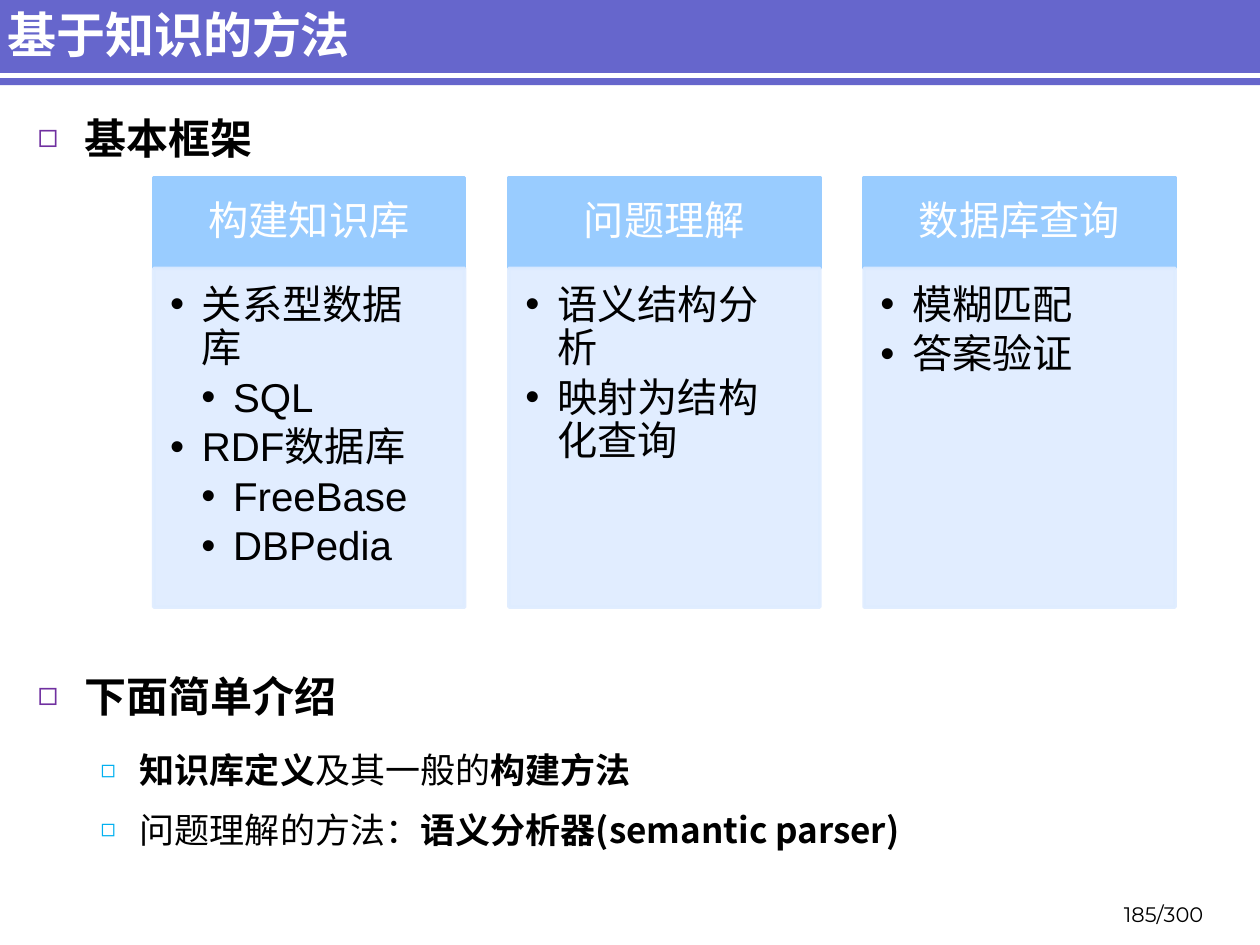
"""Build the slide on knowledge-based question answering."""
from dataclasses import dataclass

from lxml import etree
from pptx import Presentation, util as u
from pptx.dml.color import RGBColor
from pptx.enum import shapes, text
from pptx.oxml.ns import qn

INDIGO = RGBColor(0x66, 0x66, 0xCC)
SKY = RGBColor(0x99, 0xCC, 0xFF)
PALE = RGBColor(0xDE, 0xEC, 0xFF)
PURPLE = RGBColor(0x70, 0x30, 0xA0)
CYAN = RGBColor(0x00, 0xB0, 0xF0)
WHITE = RGBColor(0xFF, 0xFF, 0xFF)
BLACK = RGBColor(0, 0, 0)
CJK, LATIN, NUMERALS = "Noto Sans CJK SC", "Arial", "Montserrat"


@dataclass(frozen=True)
class Bullet:
    char: str
    margin: float
    hanging: float
    color: RGBColor = BLACK
    percent: int = 100


@dataclass(frozen=True)
class Style:
    size: float
    font: str = LATIN
    color: RGBColor = BLACK
    bold: bool = False
    align: text.PP_ALIGN = text.PP_ALIGN.LEFT
    spacing: float = 1.0
    before: float = 0
    after: float = 0
    bullet: Bullet | None = None


@dataclass(frozen=True)
class Line:
    style: Style
    words: str
    strong: tuple[str, ...] = ()


@dataclass(frozen=True)
class Card:
    heading: str
    points: tuple[Line, ...]


TITLE = Style(28, CJK, WHITE, bold=True)
TOPIC = Style(24, CJK, bold=True, before=4.8, after=12,
              bullet=Bullet("◻", 0.95, 0.95, PURPLE, 80))
DETAIL = Style(20, CJK, before=4, after=6,
               bullet=Bullet("◻", 2.06, 0.79, CYAN, 70))
HEADING = Style(23, color=WHITE, align=text.PP_ALIGN.CENTER, spacing=0.9)
POINT = Style(23, spacing=0.9, after=3.45, bullet=Bullet("•", 0.64, 0.64))
SUBPOINT = Style(23, spacing=0.9, after=3.45, bullet=Bullet("•", 1.27, 0.64))
PAGE = Style(12, NUMERALS, align=text.PP_ALIGN.RIGHT)

CARDS = (
    Card("构建知识库", (Line(POINT, "关系型数据库"), Line(SUBPOINT, "SQL"),
                   Line(POINT, "RDF数据库"), Line(SUBPOINT, "FreeBase"),
                   Line(SUBPOINT, "DBPedia"))),
    Card("问题理解", (Line(POINT, "语义结构分析"), Line(POINT, "映射为结构化查询"))),
    Card("数据库查询", (Line(POINT, "模糊匹配"), Line(POINT, "答案验证"))),
)
OUTLOOK = (
    Line(TOPIC, "下面简单介绍"),
    Line(DETAIL, "知识库定义|及其一般的|构建方法", ("知识库定义", "构建方法")),
    Line(DETAIL, "问题理解的方法：|语义分析器(semantic parser)",
         ("语义分析器(semantic parser)",)),
)
CARD_LEFT, CARD_TOP, CARD_WIDTH, CARD_PITCH = 3.1, 3.58, 6.27, 7.16
HEADING_HEIGHT, POINTS_HEIGHT = 1.83, 6.83


def add_bullet(paragraph, bullet: Bullet) -> None:
    props = paragraph._p.get_or_add_pPr()
    props.set("marL", str(u.Cm(bullet.margin)))
    props.set("indent", str(-u.Cm(bullet.hanging)))
    tint = etree.SubElement(props, qn("a:buClr"))
    etree.SubElement(tint, qn("a:srgbClr"), val=str(bullet.color))
    etree.SubElement(props, qn("a:buSzPct"), val=str(bullet.percent * 1000))
    etree.SubElement(props, qn("a:buFont"), typeface=LATIN)
    etree.SubElement(props, qn("a:buChar"), char=bullet.char)


def write(frame, lines: tuple[Line, ...], anchor=text.MSO_ANCHOR.TOP,
          insets: tuple[float, ...] = (0.25, 0.13, 0.25, 0.13)) -> None:
    frame.word_wrap = True
    frame.vertical_anchor = anchor
    (frame.margin_left, frame.margin_top,
     frame.margin_right, frame.margin_bottom) = map(u.Cm, insets)
    for index, line in enumerate(lines):
        style = line.style
        paragraph = frame.add_paragraph() if index else frame.paragraphs[0]
        paragraph.alignment = style.align
        paragraph.line_spacing = style.spacing
        paragraph.space_before = u.Pt(style.before if index else 0)
        paragraph.space_after = u.Pt(style.after)
        if style.bullet:
            add_bullet(paragraph, style.bullet)
        font = paragraph.font
        font.size, font.name, font.bold = u.Pt(style.size), style.font, style.bold
        font.color.rgb = style.color
        if style.font == CJK:
            defaults = paragraph._p.pPr.find(qn("a:defRPr"))
            etree.SubElement(defaults, qn("a:ea"), typeface=CJK)
        for part in line.words.split("|"):
            run = paragraph.add_run()
            run.text = part
            if part in line.strong:
                run.font.bold = True


def add_text(slide, left: float, top: float, width: float, height: float,
             lines: tuple[Line, ...], anchor=text.MSO_ANCHOR.TOP) -> None:
    box = slide.shapes.add_textbox(*map(u.Cm, (left, top, width, height)))
    write(box.text_frame, lines, anchor)


def add_panel(slide, left: float, top: float, width: float, height: float,
              color: RGBColor, outlined: bool = True, opacity: int = 100):
    panel = slide.shapes.add_shape(shapes.MSO_SHAPE.RECTANGLE,
                                   *map(u.Cm, (left, top, width, height)))
    panel.shadow.inherit = False
    panel.fill.solid()
    panel.fill.fore_color.rgb = color
    if outlined:
        panel.line.color.rgb = color
        panel.line.width = u.Pt(2)
    else:
        panel.line.fill.background()
    if opacity < 100:
        for tint in panel._element.spPr.iter(qn("a:srgbClr")):
            etree.SubElement(tint, qn("a:alpha"), val=str(opacity * 1000))
    return panel


def add_card(slide, left: float, card: Card) -> None:
    heading = add_panel(slide, left, CARD_TOP, CARD_WIDTH, HEADING_HEIGHT, SKY)
    write(heading.text_frame, (Line(HEADING, card.heading),),
          text.MSO_ANCHOR.MIDDLE, (0.46, 0.25, 0.46, 0.25))
    points = add_panel(slide, left, CARD_TOP + HEADING_HEIGHT, CARD_WIDTH,
                       POINTS_HEIGHT, PALE, opacity=90)
    write(points.text_frame, card.points, insets=(0.33, 0.33, 0.46, 0.51))


def add_title_band(slide) -> None:
    add_panel(slide, -0.1, -0.08, 25.5, 1.8, INDIGO, outlined=False)
    rule = slide.shapes.add_connector(shapes.MSO_CONNECTOR.STRAIGHT,
                                      *map(u.Cm, (-0.1, 1.52, 25.4, 1.52)))
    rule.line.color.rgb = WHITE
    rule.line.width = u.Pt(3)
    etree.SubElement(rule._element.spPr, qn("a:effectLst"))
    add_text(slide, -0.1, 0.13, 22.28, 1.09, (Line(TITLE, "基于知识的方法"),),
             text.MSO_ANCHOR.MIDDLE)


def main() -> None:
    deck = Presentation()
    deck.slide_width, deck.slide_height = u.Cm(25.4), u.Cm(19.05)
    slide = deck.slides.add_slide(deck.slide_layouts[6])
    add_title_band(slide)
    add_text(slide, 0.51, 2.13, 24, 1.3, (Line(TOPIC, "基本框架"),))
    for column, card in enumerate(CARDS):
        add_card(slide, CARD_LEFT + column * CARD_PITCH, card)
    add_text(slide, 0.51, 13.38, 24, 4.35, OUTLOOK)
    add_text(slide, 21.87, 17.93, 2.64, 0.89, (Line(PAGE, "185/300"),),
             text.MSO_ANCHOR.BOTTOM)
    deck.save("out.pptx")


if __name__ == "__main__":
    main()
